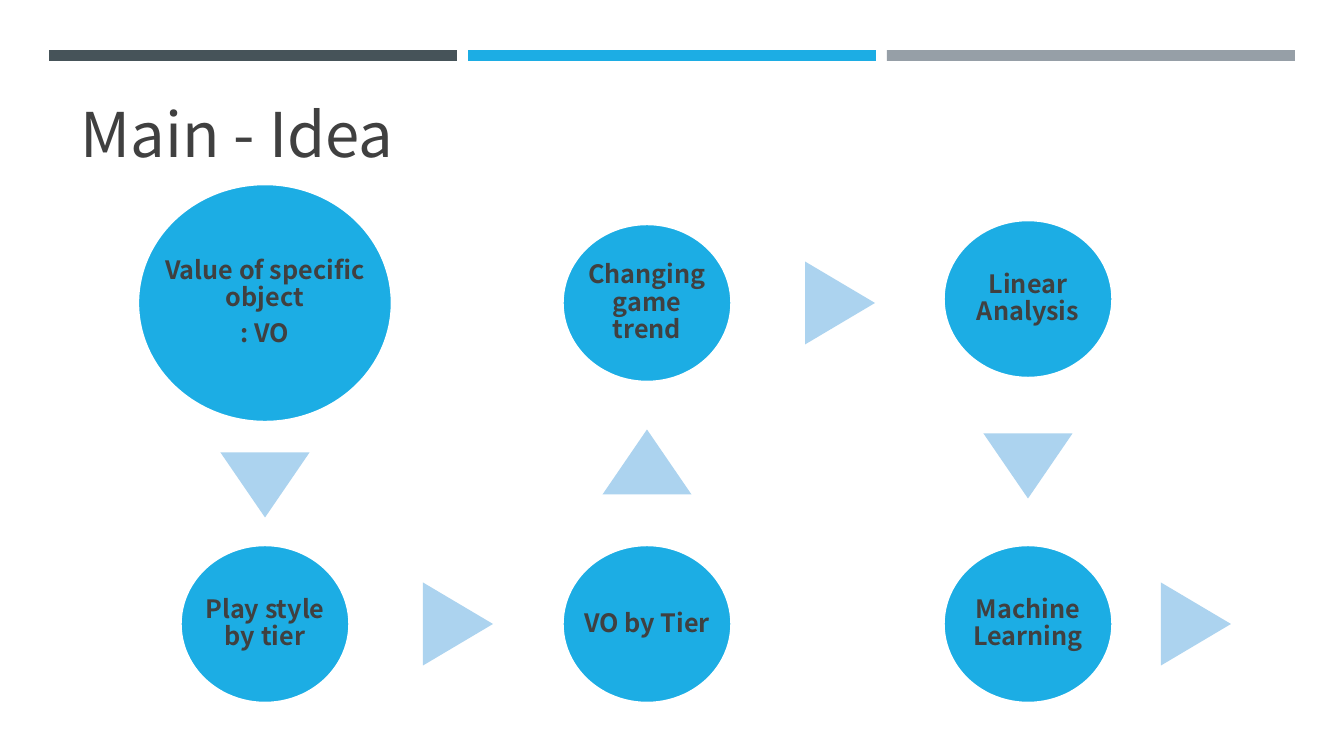
from pptx import Presentation
from pptx import util as u
from pptx.dml.color import RGBColor
from pptx.enum import shapes, text

SCALE = 914400 / 100.8
FONT = "Noto Sans CJK KR"
COLORS = {"slate": "465359", "blue": "1CADE4", "gray": "969FA7",
          "pale": "ACD3EF", "ink": "404040", "white": "FFFFFF"}


def px(n):
    return u.Emu(round(n * SCALE))


def add_shape(kind, x, y, w, h, color):
    sp = s.shapes.add_shape(kind, px(x), px(y), px(w), px(h))
    sp.shadow.inherit = False
    sp.fill.solid()
    sp.fill.fore_color.rgb = RGBColor.from_string(COLORS[color])
    sp.line.fill.background()
    return sp


prs = Presentation()
prs.slide_width, prs.slide_height = px(1344), px(756)
s = prs.slides.add_slide(prs.slide_layouts[6])

# Top bars
for i, color in enumerate(["slate", "blue", "gray"]):
    add_shape(shapes.MSO_SHAPE.RECTANGLE, 49 + 419 * i, 50, 408, 11, color)

# Title
tf = s.shapes.add_textbox(px(71), px(91), px(367), px(85)).text_frame
tf.word_wrap = True
p = tf.paragraphs[0]
p.text = "Main - Idea"
p.font.name, p.font.size = FONT, u.Pt(44)
p.font.color.rgb = RGBColor.from_string(COLORS["ink"])

# Steps: centre, size, paragraphs (\v breaks a line)
left, middle, right = 265, 647, 1028
top, bottom = 303, 624
big, small = (254, 238), (169, 158)
steps = [
    (left, top, big, ["Value of specific\vobject", ": VO"]),
    (left, bottom, small, ["Play style\vby tier"]),
    (middle, bottom, small, ["VO by Tier"]),
    (middle, top, small, ["Changing\vgame\vtrend"]),
    (right, top - 4, small, ["Linear\vAnalysis"]),
    (right, bottom, small, ["Machine\vLearning"]),
]
for cx, cy, (w, h), lines in steps:
    sp = add_shape(shapes.MSO_SHAPE.OVAL, cx - w / 2, cy - h / 2, w, h, "blue")
    sp.line.color.rgb = RGBColor.from_string(COLORS["white"])
    sp.line.width = u.Pt(1.75)
    tf = sp.text_frame
    tf.word_wrap = False
    tf.vertical_anchor = text.MSO_ANCHOR.MIDDLE
    tf.margin_left = tf.margin_right = tf.margin_top = tf.margin_bottom = 0
    for i, line in enumerate(lines):
        p = tf.add_paragraph() if i else tf.paragraphs[0]
        p.text = line
        p.alignment = text.PP_ALIGN.CENTER
        p.line_spacing, p.space_after = 0.9, u.Pt(6.3)
        p.font.name, p.font.size, p.font.bold = FONT, u.Pt(18), True
        p.font.color.rgb = RGBColor.from_string(COLORS["ink"])

# Arrows between steps: centre, rotation
arrows = [(left, 485, 180), (458, bottom, 90), (middle, 462, 0),
          (840, top, 90), (right, 466, 180), (1196, bottom, 90)]
for cx, cy, angle in arrows:
    w, h = (83, 70) if angle == 90 else (89, 65)
    sp = add_shape(shapes.MSO_SHAPE.ISOSCELES_TRIANGLE,
                   cx - w / 2, cy - h / 2, w, h, "pale")
    sp.rotation = angle

prs.save("out.pptx")
